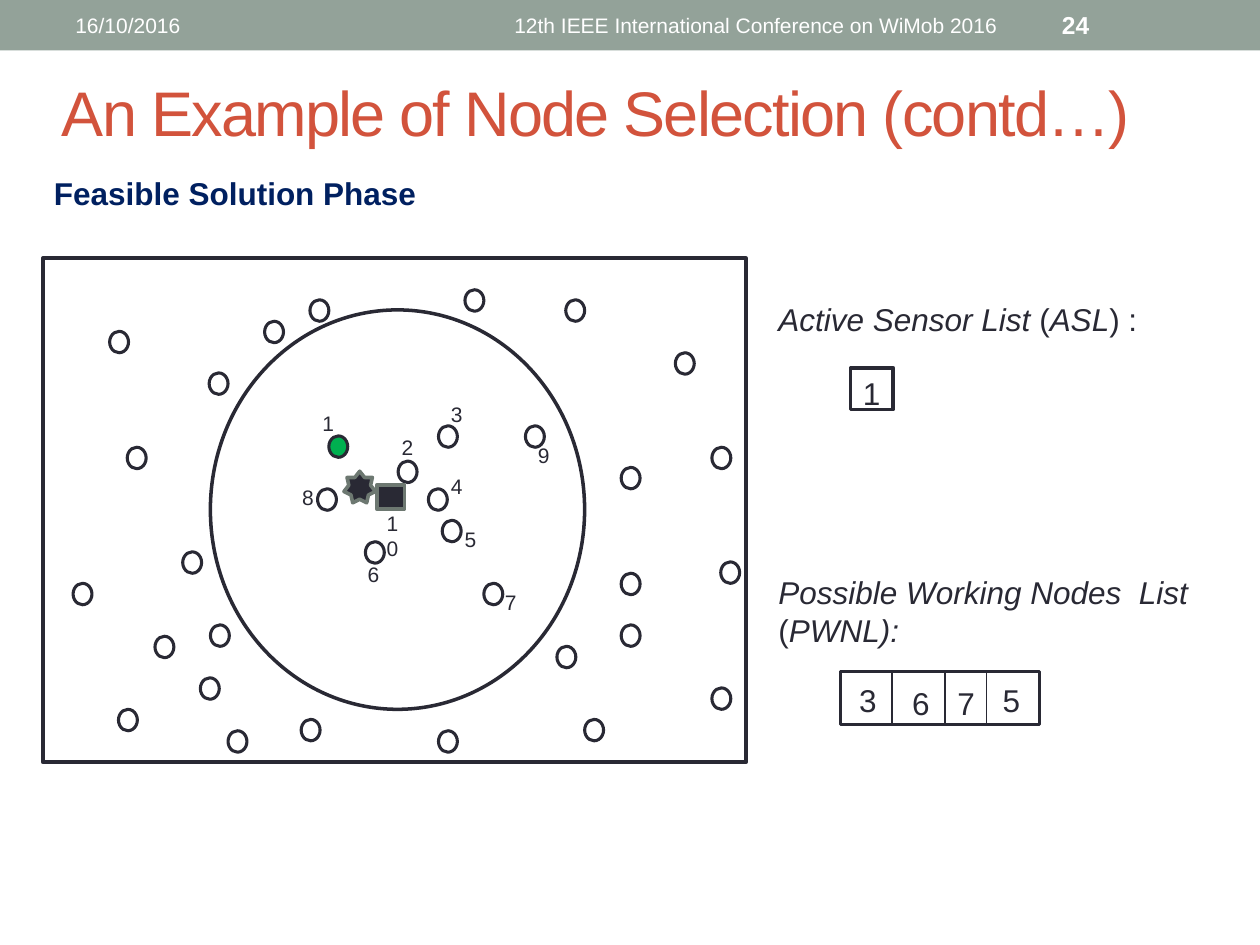
from dataclasses import dataclass
from typing import NamedTuple

from lxml import etree
from pptx import Presentation
from pptx import util as u
from pptx.dml.color import RGBColor
from pptx.enum import shapes, text
from pptx.oxml import ns


@dataclass(frozen=True)
class Theme:
    font: str = "Arial"
    ink: str = "292934"
    band: str = "93A299"
    title: str = "D2533C"
    heading: str = "002060"
    active: str = "00B050"
    marker_edge: str = "6D7871"
    white: str = "FFFFFF"
    title_size: int = 36
    body_size: int = 18
    number_size: int = 14
    small_size: int = 12
    box_line: float = 2.08
    node_line: float = 1.75


class Box(NamedTuple):
    left: float
    top: float
    width: float
    height: float


class Run(NamedTuple):
    words: str
    italic: bool = False


class Label(NamedTuple):
    words: str
    left: float
    top: float
    width: float = 0.26


THEME = Theme()
NODE_WIDTH, NODE_HEIGHT = 0.15, 0.17

# Left and top of each sensor outside the sensing circle, then inside it
OUTER_NODES = [
    (2.46, 2.38), (0.58, 4.63), (4.49, 2.38), (1.45, 4.38), (0.87, 2.63),
    (1.66, 2.96), (1.01, 3.55), (0.94, 5.63), (4.93, 4.55), (5.36, 2.8),
    (5.65, 3.55), (5.65, 5.46), (5.72, 4.46), (1.81, 5.8), (1.67, 4.96),
    (1.23, 5.05), (2.39, 5.71), (1.59, 5.38), (3.48, 5.8), (3.69, 2.3),
    (4.42, 5.13), (4.93, 4.96), (2.1, 2.55), (4.93, 3.71), (4.64, 5.71),
]
INNER_NODES = [
    (2.9, 4.3), (2.52, 3.88), (3.16, 3.66), (3.48, 3.38),
    (4.17, 3.38), (3.4, 3.88), (3.51, 4.13), (3.84, 4.63),
]
ACTIVE_NODE = (2.61, 3.46)

NODE_LABELS = [
    Label("1", 2.46, 3.21), Label("8", 2.3, 3.8), Label("2", 3.09, 3.4),
    Label("3", 3.48, 3.14), Label("4", 3.48, 3.71), Label("10", 2.97, 4, 0.34),
    Label("6", 2.82, 4.41), Label("5", 3.59, 4.13), Label("7", 3.91, 4.63),
    Label("9", 4.17, 3.46),
]
LIST_VALUES = [
    Label("1", 6.75, 2.92, 0.34), Label("3", 6.72, 5.36, 0.34),
    Label("6", 7.14, 5.38), Label("7", 7.5, 5.38, 0.34),
    Label("5", 7.86, 5.36, 0.34),
]


def color(value: str) -> RGBColor:
    return RGBColor.from_string(value)


def add_figure(slide, kind, box: Box, fill: str | None = None,
               line: str | None = THEME.ink, weight: float = THEME.box_line):
    shape = slide.shapes.add_shape(kind, *map(u.Inches, box))
    shape.shadow.inherit = False
    if fill:
        shape.fill.solid()
        shape.fill.fore_color.rgb = color(fill)
    else:
        shape.fill.background()
    if line:
        shape.line.color.rgb = color(line)
        shape.line.width = u.Pt(weight)
    else:
        shape.line.fill.background()
    return shape


def add_node(slide, position: tuple[float, float], fill: str | None = None) -> None:
    add_figure(slide, shapes.MSO_SHAPE.OVAL, Box(*position, NODE_WIDTH, NODE_HEIGHT),
               fill, weight=THEME.node_line)


def add_divider(slide, x: float, top: float, bottom: float) -> None:
    line = slide.shapes.add_connector(
        shapes.MSO_CONNECTOR.STRAIGHT, *map(u.Inches, (x, top, x, bottom)))
    line.line.color.rgb = color(THEME.ink)
    line.line.width = u.Pt(0.75)
    etree.SubElement(line._element.spPr, ns.qn("a:effectLst"))


def style(paragraph, size: int, ink: str, bold: bool = False) -> None:
    paragraph.font.name = THEME.font
    paragraph.font.size = u.Pt(size)
    paragraph.font.color.rgb = color(ink)
    paragraph.font.bold = bold


def add_text(slide, box: Box, runs: list[Run], size: int, ink: str = THEME.ink,
             bold: bool = False, anchor=text.MSO_ANCHOR.TOP,
             align=text.PP_ALIGN.LEFT) -> None:
    frame = slide.shapes.add_textbox(*map(u.Inches, box)).text_frame
    frame.word_wrap = True
    frame.vertical_anchor = anchor
    paragraph = frame.paragraphs[0]
    paragraph.alignment = align
    style(paragraph, size, ink, bold)
    for part in runs:
        run = paragraph.add_run()
        run.text = part.words
        if part.italic:
            run.font.italic = True


def add_labels(slide, labels: list[Label], size: int, height: float) -> None:
    for label in labels:
        add_text(slide, Box(label.left, label.top, label.width, height),
                 [Run(label.words)], size)


def add_header(slide) -> None:
    add_figure(slide, shapes.MSO_SHAPE.RECTANGLE, Box(0, 0, 10, 0.4), THEME.band, None)
    left, center = text.PP_ALIGN.LEFT, text.PP_ALIGN.CENTER
    for words, x, width, size, bold, align in [
        ("16/10/2016", 0.5, 3.17, THEME.small_size, False, left),
        ("12th IEEE International Conference on WiMob 2016", 3.75, 4.5,
         THEME.small_size, False, center),
        ("24", 8.33, 1.17, THEME.number_size, True, left),
    ]:
        add_text(slide, Box(x, 0.02, width, 0.36), [Run(words)], size, THEME.white,
                 bold, text.MSO_ANCHOR.MIDDLE, align)


def add_title(slide) -> None:
    title = slide.shapes.title
    title.left, title.top, title.width, title.height = map(
        u.Inches, (0.39, 0.34, 9.33, 1.08))
    frame = title.text_frame
    frame.text = "An Example of Node Selection (contd…)"
    frame.auto_size = text.MSO_AUTO_SIZE.NONE
    frame.vertical_anchor = text.MSO_ANCHOR.MIDDLE
    paragraph = frame.paragraphs[0]
    paragraph.alignment = text.PP_ALIGN.LEFT
    style(paragraph, THEME.title_size, THEME.title)
    paragraph.runs[0]._r.get_or_add_rPr().set("spc", "-100")


def add_network(slide) -> None:
    kinds = shapes.MSO_SHAPE
    # Field and sensing circle
    add_figure(slide, kinds.RECTANGLE, Box(0.34, 2.05, 5.58, 4), weight=2.25)
    add_figure(slide, kinds.OVAL, Box(1.67, 2.46, 2.97, 3.17), weight=2)
    # Sensors
    for position in OUTER_NODES + INNER_NODES:
        add_node(slide, position)
    add_node(slide, ACTIVE_NODE, THEME.active)
    add_labels(slide, NODE_LABELS, THEME.small_size, 0.3)
    # Target and event markers
    for kind, box in [(kinds.STAR_7_POINT, Box(2.73, 3.74, 0.25, 0.25)),
                      (kinds.RECTANGLE, Box(2.99, 3.85, 0.22, 0.19))]:
        add_figure(slide, kind, box, THEME.ink, THEME.marker_edge)


def add_lists(slide) -> None:
    add_text(slide, Box(6.08, 2.33, 3.67, 0.4),
             [Run("Active Sensor List ", True), Run("("), Run("ASL", True), Run(") :")],
             THEME.body_size)
    add_text(slide, Box(6.08, 4.5, 3.67, 0.71),
             [Run("Possible Working Nodes  List ", True), Run("("), Run("PWNL):", True)],
             THEME.body_size)
    for box in (Box(6.75, 2.92, 0.34, 0.33), Box(6.67, 5.33, 1.58, 0.42)):
        add_figure(slide, shapes.MSO_SHAPE.RECTANGLE, box)
    for x in (7.08, 7.5, 7.83):
        add_divider(slide, x, 5.33, 5.75)
    add_labels(slide, LIST_VALUES, THEME.body_size, 0.4)


def main() -> None:
    presentation = Presentation()
    presentation.slide_width, presentation.slide_height = u.Inches(10), u.Inches(7.5)
    slide = presentation.slides.add_slide(presentation.slide_layouts[5])
    add_header(slide)
    add_title(slide)
    add_text(slide, Box(0.33, 1.33, 3.11, 0.4), [Run("Feasible Solution Phase")],
             THEME.body_size, THEME.heading, bold=True)
    add_network(slide)
    add_lists(slide)
    presentation.save("out.pptx")


if __name__ == "__main__":
    main()
